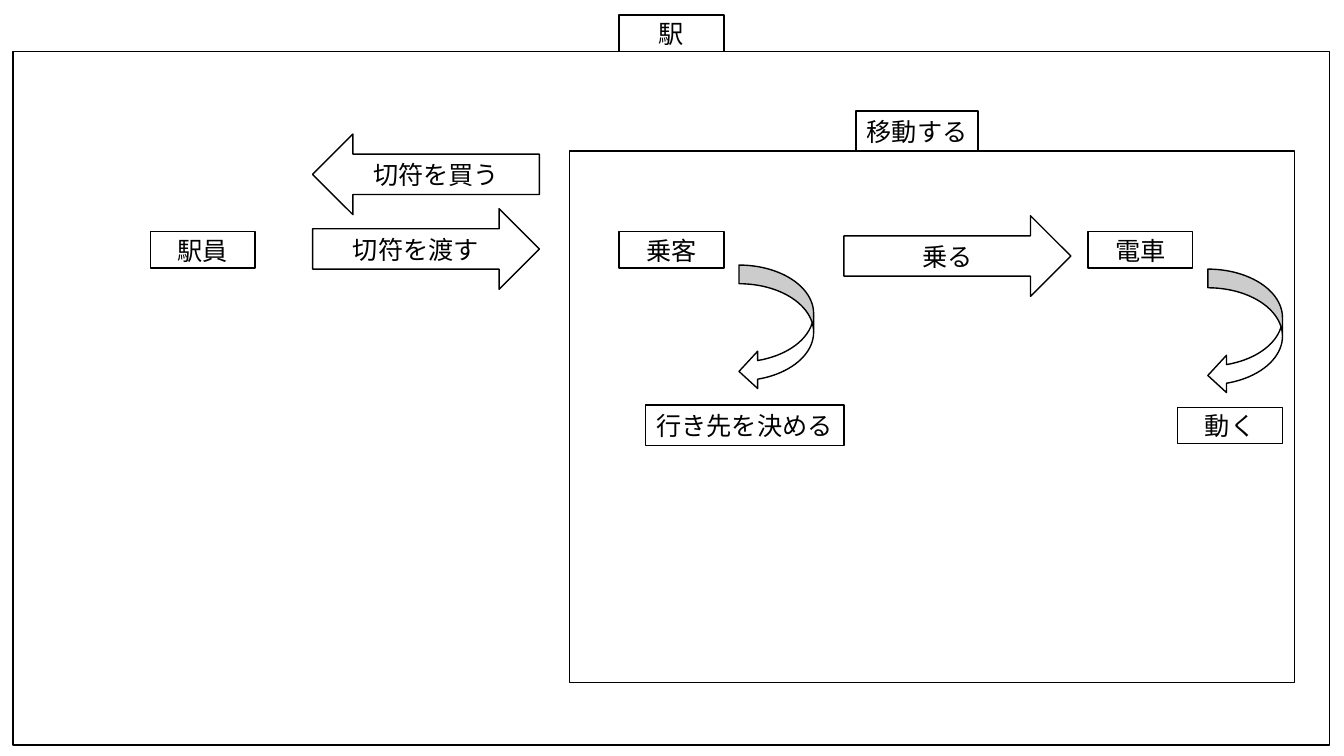
import dataclasses

import lxml.etree
import pptx
import pptx.dml.color
import pptx.enum.shapes
import pptx.enum.text
import pptx.oxml.ns
import pptx.util

Inches = pptx.util.Inches
Shape = pptx.enum.shapes.MSO_SHAPE


@dataclasses.dataclass(frozen=True)
class Theme:
    ink = pptx.dml.color.RGBColor(0x00, 0x00, 0x00)
    paper = pptx.dml.color.RGBColor(0xFF, 0xFF, 0xFF)
    font = "Noto Sans CJK JP"
    text_size = pptx.util.Pt(18)
    line_width = pptx.util.Pt(1)


THEME = Theme()
LABEL_WIDTH, LABEL_HEIGHT = 1.04, 0.36
ACTION_HEIGHT = 0.4
ARROW_WIDTH, ARROW_HEIGHT = 2.25, 0.8
TURN_WIDTH, TURN_HEIGHT = 0.74, 1.24


def add_outline(page, kind, left, top, width, height, filled=False):
    """Draw one black-edged shape."""
    shape = page.shapes.add_shape(
        kind, Inches(left), Inches(top), Inches(width), Inches(height))
    shape.shadow.inherit = False
    if filled:
        shape.fill.solid()
        shape.fill.fore_color.rgb = THEME.paper
    else:
        shape.fill.background()
    shape.line.color.rgb = THEME.ink
    shape.line.width = THEME.line_width
    return shape


def write_text(shape, text, wrap=True):
    """Centre one line of text in a shape."""
    frame = shape.text_frame
    frame.word_wrap = wrap
    frame.vertical_anchor = pptx.enum.text.MSO_ANCHOR.MIDDLE
    para = frame.paragraphs[0]
    para.text = text
    para.alignment = pptx.enum.text.PP_ALIGN.CENTER
    para.font.name = THEME.font
    para.font.size = THEME.text_size
    para.font.color.rgb = THEME.ink
    # Japanese glyphs take the East Asian typeface
    defaults = para.font._element if hasattr(para.font, "_element") else para.font._rPr
    east_asian = lxml.etree.SubElement(defaults, pptx.oxml.ns.qn("a:ea"))
    east_asian.set("typeface", THEME.font)


def add_label(page, text, left, top, width=LABEL_WIDTH, height=LABEL_HEIGHT):
    box = add_outline(page, Shape.RECTANGLE, left, top, width, height)
    write_text(box, text, wrap=width == LABEL_WIDTH)


def add_arrow(page, kind, text, left, top):
    arrow = add_outline(page, kind, left, top, ARROW_WIDTH, ARROW_HEIGHT, filled=True)
    write_text(arrow, text)


def add_turn(page, left, top):
    add_outline(page, Shape.CURVED_LEFT_ARROW, left, top,
                TURN_WIDTH, TURN_HEIGHT, filled=True)


def build_station(page, left, top, width, height):
    """Station frame with its tab, the clerk and the ticket exchange."""
    add_label(page, "駅", left + 6.01, top - LABEL_HEIGHT)
    add_outline(page, Shape.RECTANGLE, left, top, width, height)
    add_label(page, "駅員", left + 1.36, top + 1.79)
    add_arrow(page, Shape.RIGHT_ARROW, "切符を渡す", left + 2.97, top + 1.56)
    add_arrow(page, Shape.LEFT_ARROW, "切符を買う", left + 2.97, top + 0.82)


def build_journey(page, left, top, width, height):
    """Journey frame with its tab, passenger, train and their own actions."""
    add_label(page, "移動する", left + 2.84, top - ACTION_HEIGHT, 1.21, ACTION_HEIGHT)
    add_outline(page, Shape.RECTANGLE, left, top, width, height)

    # Passenger boards the train
    add_label(page, "乗客", left + 0.49, top + 0.8)
    add_arrow(page, Shape.RIGHT_ARROW, "乗る", left + 2.72, top + 0.64)
    add_label(page, "電車", left + 5.14, top + 0.8)

    # What each does by itself
    add_turn(page, left + 1.68, top + 1.13)
    add_label(page, "行き先を決める", left + 0.75, top + 2.52, 1.97, ACTION_HEIGHT)
    add_turn(page, left + 6.33, top + 1.17)
    add_label(page, "動く", left + 6.03, top + 2.54)


def main():
    deck = pptx.Presentation()
    deck.slide_width, deck.slide_height = Inches(13.33), Inches(7.5)
    page = deck.slides.add_slide(deck.slide_layouts[6])
    build_station(page, 0.13, 0.51, 13.06, 6.88)
    build_journey(page, 5.65, 1.5, 7.19, 5.27)
    deck.save("out.pptx")


if __name__ == "__main__":
    main()
